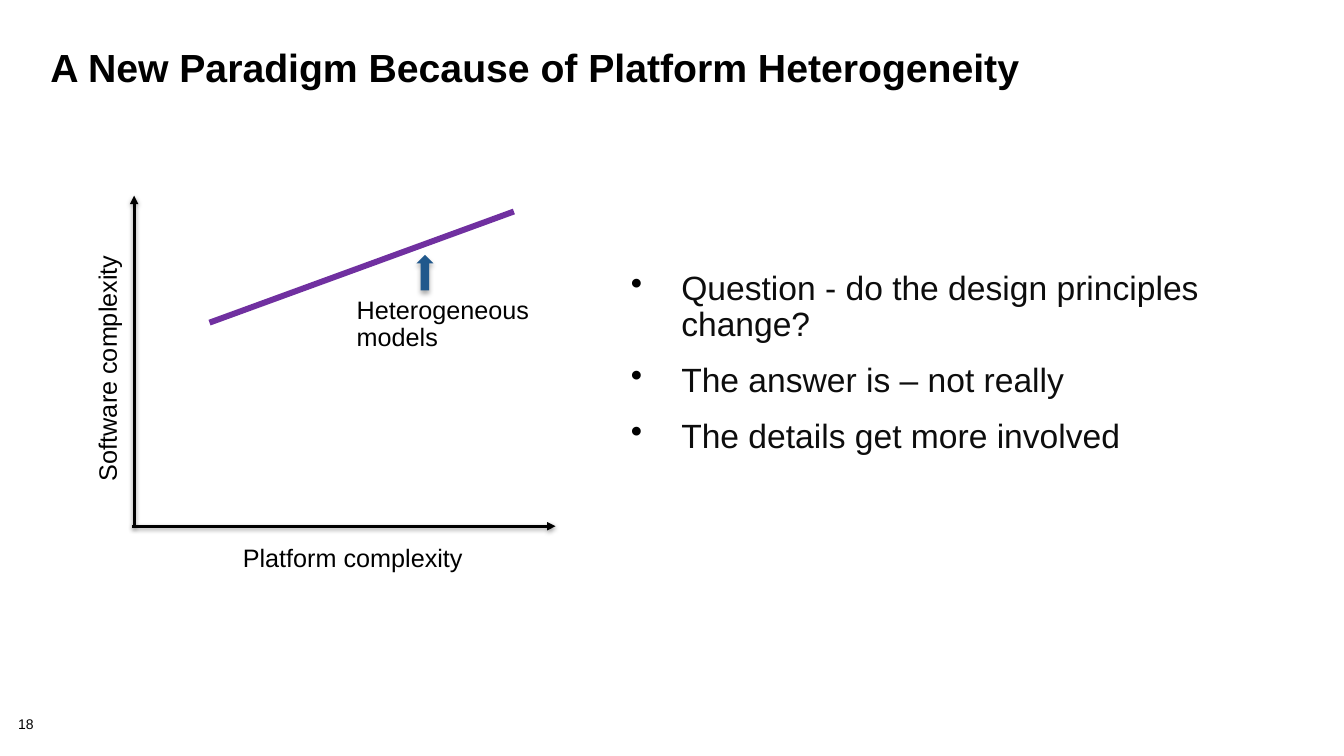
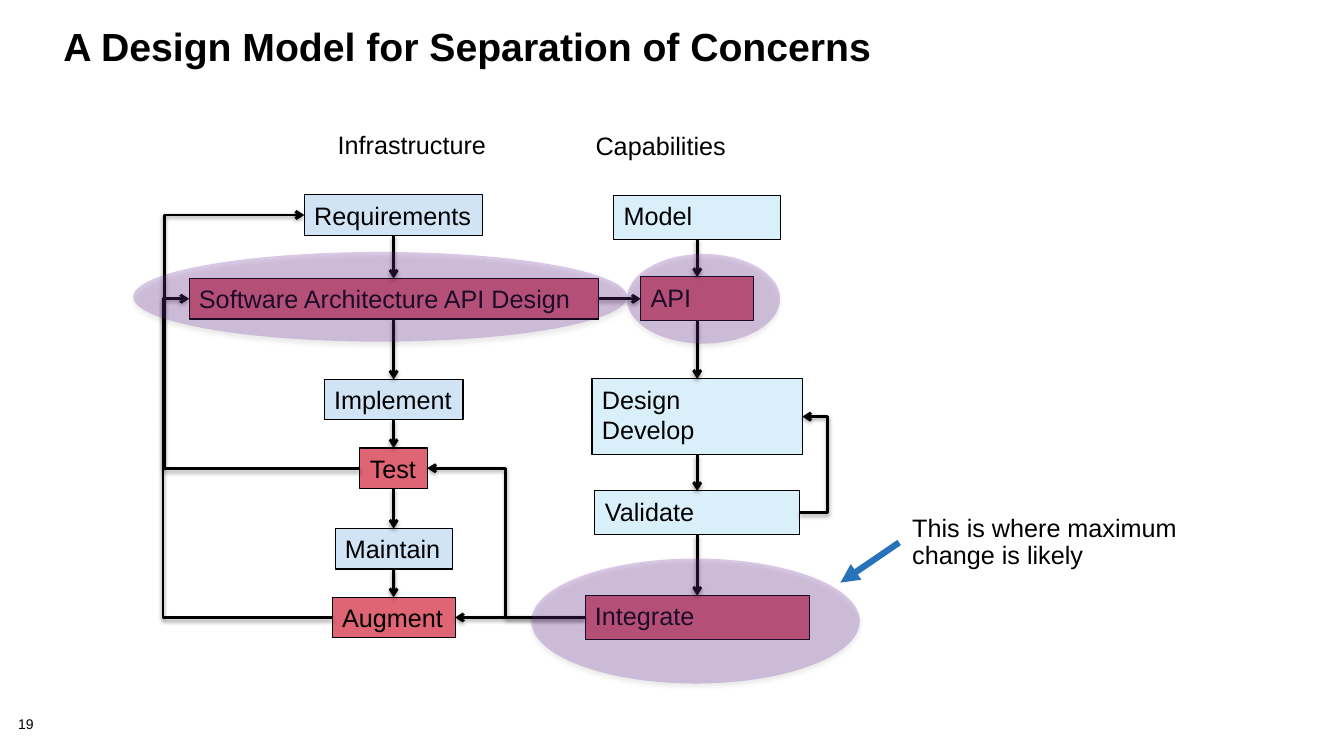
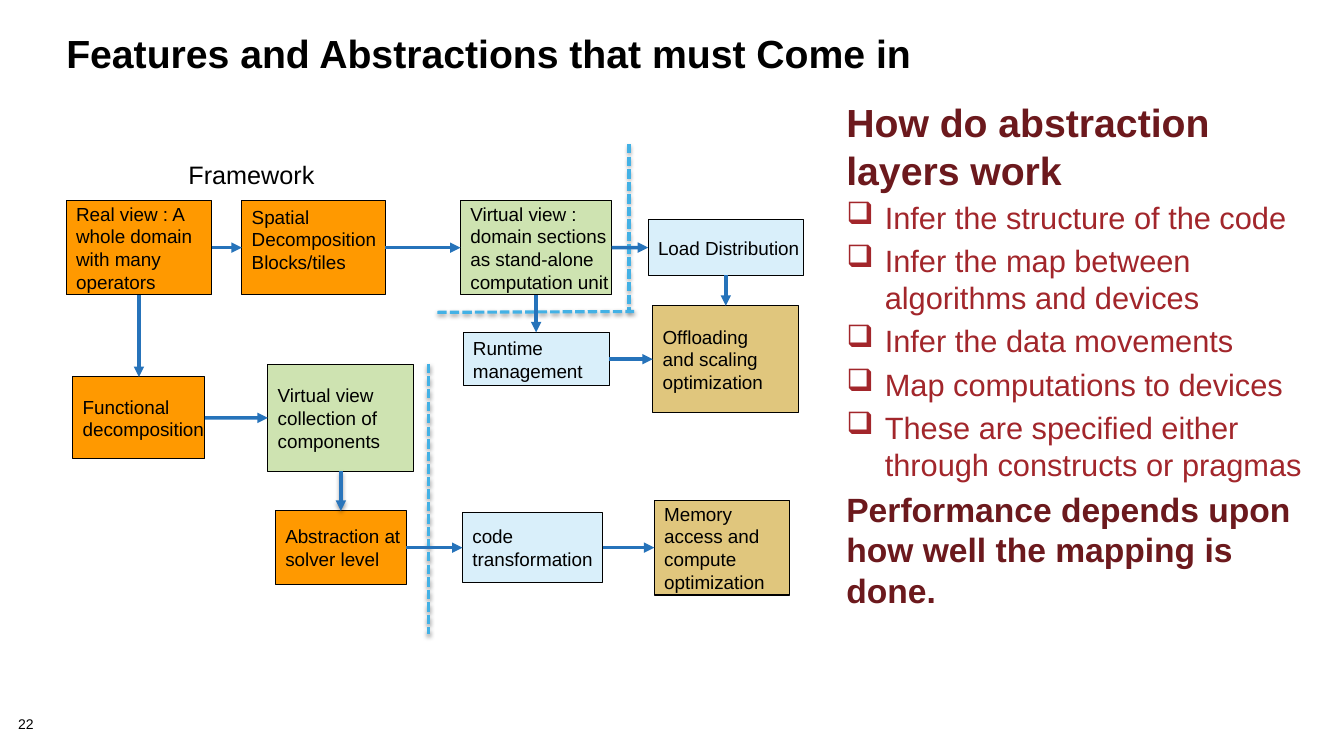
from lxml.etree import SubElement
from pptx import Presentation
from pptx.dml.color import RGBColor
from pptx.enum.dml import MSO_LINE
from pptx.enum.shapes import MSO_CONNECTOR, MSO_SHAPE
from pptx.enum.text import MSO_ANCHOR, MSO_AUTO_SIZE, PP_ALIGN
from pptx.oxml.ns import qn
from pptx.util import Cm, Pt

# Shared style
FONT = "Arial"
BLACK, BLUE, SKY, PURPLE = "000000", "2673BA", "43B1E5", "7030A0"
PALE, ICE, RED = "D1E4F5", "D9EFFA", "DF6474"
ORANGE, GREEN, SAND = "FF9900", "CEE3B1", "E0C67D"
MAROON, CRIMSON = "6C191D", "A2262B"
LINE_SHADOW = (38, 3.1, 1.6)  # opacity %, blur pt, distance pt
SHAPE_SHADOW = (32, 3.5, 2.2)
TOP, LEFT, BOTTOM, RIGHT = range(4)
LABEL = dict(inset=(0.33, 0.25), anchor=MSO_ANCHOR.MIDDLE, spacing=0.9)

# Slide 18
QUESTIONS = [
    "Question - do the design principles change?",
    "The answer is – not really",
    "The details get more involved",
]

# Slide 19: text, middle, width, height, fill of each box in a column
INFRA_X, CAPS_X = 9.92, 17.57
INFRA = [
    ("Requirements", 5.42, 4.5, 1.02, PALE),
    ("Software Architecture API Design", 7.53, 10.31, 1.02, RED),
    ("Implement", 10.07, 3.5, 1.02, PALE),
    ("Test", 11.8, 1.7, 1.02, RED),
    ("Maintain", 13.83, 2.95, 1.02, PALE),
    ("Augment", 15.56, 3.1, 1.02, RED),
]
CAPS = [
    ("Model", 5.48, 4.2, 1.1, ICE),
    ("API", 7.53, 2.85, 1.1, RED),
    ("Design\nDevelop", 10.5, 5.3, 1.91, ICE),
    ("Validate", 12.92, 5.15, 1.1, ICE),
    ("Integrate", 15.56, 5.65, 1.1, RED),
]
HALOS = [
    (17.73, 7.53, 3.86, 2.26),
    (17.53, 15.65, 8.28, 3.15),
    (9.58, 7.48, 12.45, 2.26),
]

# Slide 22: text, centre, size, fill
STEPS = {
    "real": ("Real view : A\nwhole domain\nwith many\noperators", 3.5, 6.24, 3.66, 2.39, ORANGE),
    "spatial": ("Spatial\nDecomposition\nBlocks/tiles", 7.9, 6.24, 3.61, 2.39, ORANGE),
    "domain": ("Virtual view :\ndomain sections\nas stand-alone\ncomputation unit", 13.51, 6.24, 3.81, 2.39, GREEN),
    "load": ("Load Distribution", 18.29, 6.24, 3.91, 1.4, ICE),
    "runtime": ("Runtime\nmanagement", 13.51, 9.05, 3.68, 1.35, ICE),
    "offload": ("Offloading\nand scaling\noptimization", 18.29, 9.05, 3.68, 2.69, SAND),
    "functional": ("Functional\ndecomposition", 3.5, 10.53, 3.33, 2.06, ORANGE),
    "parts": ("Virtual view\ncollection of\ncomponents", 8.59, 10.53, 3.68, 2.69, GREEN),
    "solver": ("Abstraction at\nsolver level", 8.59, 13.8, 3.3, 1.85, ORANGE),
    "code": ("code\ntransformation", 13.42, 13.8, 3.53, 1.78, ICE),
    "memory": ("Memory\naccess and\ncompute\noptimization", 18.19, 13.8, 3.4, 2.39, SAND),
}
ACROSS = [("real", "spatial"), ("spatial", "domain"), ("domain", "load"),
          ("runtime", "offload"), ("functional", "parts"),
          ("solver", "code"), ("code", "memory")]
DOWN = [("real", "functional"), ("domain", "runtime"), ("load", "offload")]
DIVIDERS = [((15.85, 3.63), (15.85, 7.85)), ((11.02, 7.87), (15.98, 7.85)),
            ((10.8, 9.17), (10.8, 15.98))]
LAYERS = [
    "Infer the structure of the code",
    "Infer the map between algorithms and devices",
    "Infer the data movements",
    "Map computations to devices",
    "These are specified either through constructs or pragmas",
]


def rgb(colour):
    return RGBColor.from_string(colour)


def write(tf, text, size=18, colour=BLACK, bold=False, spacing=None, before=0,
          bullet=None, indent=0, bullet_colour=None):
    """Append one paragraph per line of text."""
    for line in text.split("\n"):
        first = not tf.paragraphs[0].runs
        p = tf.paragraphs[0] if first else tf.add_paragraph()
        if bullet:
            pPr = p._p.get_or_add_pPr()
            pPr.set("marL", str(Cm(indent)))
            pPr.set("indent", str(-Cm(indent)))
            if bullet_colour:
                clr = SubElement(pPr, qn("a:buClr"))
                SubElement(clr, qn("a:srgbClr"), val=bullet_colour)
            SubElement(pPr, qn("a:buChar"), char=bullet)
        p.alignment = PP_ALIGN.LEFT
        if spacing:
            p.line_spacing = spacing
        if before and not first:
            p.space_before = Pt(before)
        r = p.add_run()
        r.text = line
        r.font.name, r.font.size, r.font.bold = FONT, Pt(size), bold
        r.font.color.rgb = rgb(colour)


def frame(shape, inset=(0.25, 0.13), anchor=MSO_ANCHOR.TOP):
    tf = shape.text_frame
    tf.word_wrap, tf.auto_size = True, MSO_AUTO_SIZE.NONE
    tf.vertical_anchor = anchor
    tf.margin_left, tf.margin_right = Cm(inset[0]), 0
    tf.margin_top = tf.margin_bottom = Cm(inset[1])
    return tf


def text_box(s, x, y, w, h, text="", inset=(0.25, 0.13), anchor=MSO_ANCHOR.TOP, **fmt):
    sp = s.shapes.add_textbox(Cm(x), Cm(y), Cm(w), Cm(h))
    tf = frame(sp, inset, anchor)
    if text:
        write(tf, text, **fmt)
    return sp


def set_shadow(shape, shadow):
    effects = SubElement(shape._element.spPr, qn("a:effectLst"))
    if shadow:
        alpha, blur, dist = shadow
        outer = SubElement(effects, qn("a:outerShdw"), blurRad=str(Pt(blur)),
                           dist=str(Pt(dist)), dir="5400000", rotWithShape="0")
        clr = SubElement(outer, qn("a:srgbClr"), val=BLACK)
        SubElement(clr, qn("a:alpha"), val=str(alpha * 1000))


def solid(s, kind, cx, cy, w, h, fill, outline=False, alpha=None, shadow=None):
    """Add a filled shape by its centre."""
    sp = s.shapes.add_shape(kind, Cm(cx - w / 2), Cm(cy - h / 2), Cm(w), Cm(h))
    sp.fill.solid()
    sp.fill.fore_color.rgb = rgb(fill)
    if alpha:
        clr = sp._element.spPr.find(qn("a:solidFill"))[0]
        SubElement(clr, qn("a:alpha"), val=str(alpha * 1000))
    if outline:
        sp.line.color.rgb = rgb(BLACK)
        sp.line.width = Pt(0.75)
    else:
        sp.line.fill.background()
    set_shadow(sp, shadow)
    return sp


def box(s, text, cx, cy, w, h, fill, size=18, anchor=MSO_ANCHOR.TOP):
    sp = solid(s, MSO_SHAPE.RECTANGLE, cx, cy, w, h, fill, outline=True)
    write(frame(sp, anchor=anchor), text, size=size)
    return sp


def link(s, a, b, colour=BLACK, width=2, head=None, shadow=None, dash=None, via=None):
    """Join two ends, each a point in cm or (shape, side); via is the x of a bend."""
    kind = MSO_CONNECTOR.STRAIGHT if via is None else MSO_CONNECTOR.ELBOW
    points = [e if isinstance(e[0], (int, float)) else (0, 0) for e in (a, b)]
    c = s.shapes.add_connector(kind, *(Cm(v) for pt in points for v in pt))
    for end, connect in ((a, c.begin_connect), (b, c.end_connect)):
        if not isinstance(end[0], (int, float)):
            connect(*end)
    if via is not None:
        ratio = (Cm(via) - c.begin_x) / (c.end_x - c.begin_x)
        guides = c._element.spPr.find(qn("a:prstGeom")).get_or_add_avLst()
        SubElement(guides, qn("a:gd"), name="adj1", fmla=f"val {round(ratio * 100000)}")
    c.line.color.rgb = rgb(colour)
    c.line.width = Pt(width)
    if dash:
        c.line.dash_style = dash
    if head:
        SubElement(c.line._get_or_add_ln(), qn("a:tailEnd"), type=head)
    set_shadow(c, shadow)
    return c


def new_slide(prs, title, number, x, y, w, h):
    s = prs.slides.add_slide(prs.slide_layouts[5])
    sp = s.shapes.title
    sp.left, sp.top, sp.width, sp.height = Cm(x), Cm(y), Cm(w), Cm(h)
    write(frame(sp), title, size=28, bold=True, spacing=0.85)
    text_box(s, 0.46, 18.08, 1.42, 0.41, number, inset=(0, 0), size=10, spacing=0.9)
    return s


def paradigm_slide(prs):
    s = new_slide(prs, "A New Paradigm Because of Platform Heterogeneity", "18",
                  1.02, 1.14, 31.6, 2.54)
    body = text_box(s, 15.65, 6.71, 17.2, 6.55).text_frame
    for question in QUESTIONS:
        write(body, question, size=24, colour="0D0D0D", spacing=0.9, before=14,
              bullet="•", indent=1.27, bullet_colour=BLACK)
    # Axes and trend
    for start, end in (((3.33, 13.26), (14, 13.26)), ((3.38, 13.26), (3.38, 4.93))):
        link(s, start, end, head="triangle", shadow=LINE_SHADOW)
    text_box(s, 5.79, 13.51, 6.25, 1.19, "Platform complexity", **LABEL)
    axis = text_box(s, -0.46, 8.64, 6.4, 1.22, "Software complexity", **LABEL)
    axis.rotation = 270
    link(s, (5.28, 8.13), (12.95, 5.33), PURPLE, 4.25)
    text_box(s, 8.66, 7.24, 5.05, 1.9, "Heterogeneous\nmodels", **LABEL)
    solid(s, MSO_SHAPE.UP_ARROW, 10.71, 6.87, 0.43, 0.89, "20588C", shadow=SHAPE_SHADOW)


def design_slide(prs):
    s = new_slide(prs, "A Design Model for Separation of Concerns", "19",
                  1.35, 0.61, 26.82, 1.7)
    style = dict(head="arrow", shadow=LINE_SHADOW)
    columns = []
    for cx, rows in ((INFRA_X, INFRA), (CAPS_X, CAPS)):
        column = [box(s, text, cx, *rest) for text, *rest in rows]
        for upper, lower in zip(column, column[1:]):
            link(s, (upper, BOTTOM), (lower, TOP), **style)
        columns.append(column)
    requirements, architecture, _, test, _, augment = columns[0]
    _, api, design, validate, integrate = columns[1]
    # Links between columns and feedback loops
    for start, end, via in (
        ((architecture, RIGHT), (api, LEFT), None),
        ((integrate, LEFT), (augment, RIGHT), None),
        ((integrate, LEFT), (test, RIGHT), 12.75),
        ((augment, LEFT), (architecture, LEFT), 4.11),
        ((test, LEFT), (requirements, LEFT), 4.14),
        ((validate, RIGHT), (design, RIGHT), 20.85),
    ):
        link(s, start, end, via=via, **style)
    text_box(s, 8.26, 3.12, 4.3, 1.02, "Infrastructure")
    text_box(s, 14.76, 3.15, 3.84, 1.02, "Capabilities")
    # Areas of change
    for halo in HALOS:
        solid(s, MSO_SHAPE.OVAL, *halo, PURPLE, alpha=25, shadow=SHAPE_SHADOW)
    text_box(s, 22.66, 12.73, 7.57, 1.9, "This is where maximum\nchange is likely", **LABEL)
    link(s, (22.66, 13.67), (21.18, 14.68), BLUE, 4.5, head="triangle")


def features_slide(prs):
    s = new_slide(prs, "Features and Abstractions that must Come in", "22",
                  1.42, 0.79, 24.13, 2.41)
    steps = {}
    for key, row in STEPS.items():
        anchor = MSO_ANCHOR.TOP if key == "spatial" else MSO_ANCHOR.MIDDLE
        steps[key] = box(s, *row, size=13.5, anchor=anchor)
    for start, end in DIVIDERS:
        link(s, start, end, SKY, 2.25, dash=MSO_LINE.SQUARE_DOT, shadow=LINE_SHADOW)
    text_box(s, 4.5, 3.89, 3.71, 1.02, "Framework")
    # Flow
    link(s, (steps["parts"], BOTTOM), (steps["solver"], TOP), "2A75BB", 2.5,
         head="triangle", shadow=LINE_SHADOW)
    for pairs, out, into in ((ACROSS, RIGHT, LEFT), (DOWN, BOTTOM, TOP)):
        for a, b in pairs:
            link(s, (steps[a], out), (steps[b], into), BLUE, 2.5, head="triangle")
    # Abstraction layers
    tf = text_box(s, 21.08, 2.36, 12.12, 14.73).text_frame
    write(tf, "How do abstraction layers work", size=28, colour=MAROON, bold=True)
    for layer in LAYERS:
        write(tf, layer, size=22, colour=CRIMSON, before=4.4, bullet="❑", indent=0.97)
    write(tf, "Performance depends upon how well the mapping is done.", size=24,
          colour=MAROON, bold=True, before=4.8)


def main():
    prs = Presentation()
    prs.slide_width, prs.slide_height = Cm(33.87), Cm(19.05)
    paradigm_slide(prs)
    design_slide(prs)
    features_slide(prs)
    prs.save("out.pptx")


if __name__ == "__main__":
    main()
